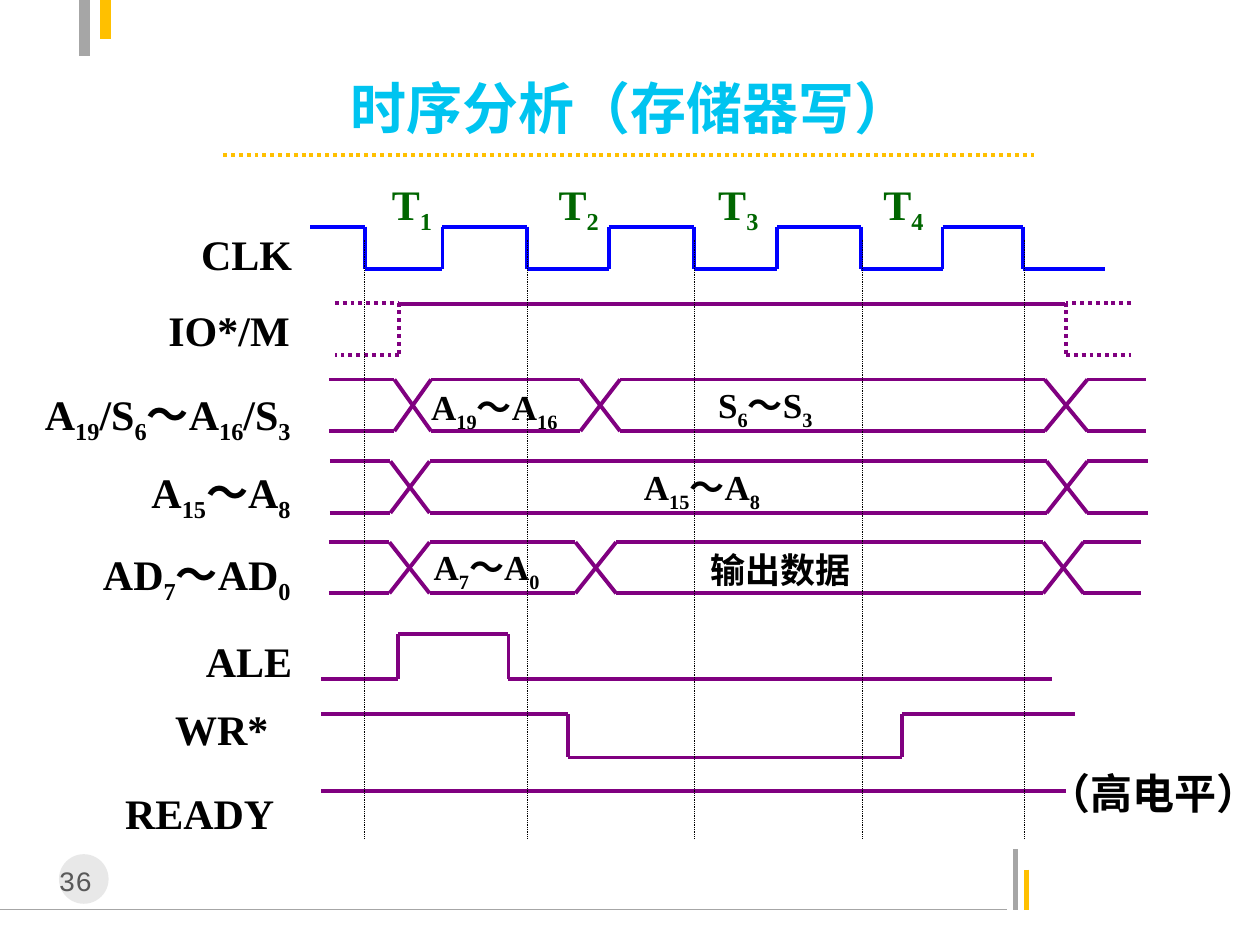
from dataclasses import dataclass
from itertools import pairwise

from lxml.etree import SubElement
from pptx import Presentation
from pptx.dml.color import RGBColor
from pptx.enum.dml import MSO_LINE
from pptx.enum.shapes import MSO_CONNECTOR, MSO_SHAPE
from pptx.enum.text import MSO_ANCHOR, MSO_AUTO_SIZE, PP_ALIGN
from pptx.oxml.ns import qn
from pptx.util import Cm, Pt

Point = tuple[float, float]
DOT = MSO_LINE.ROUND_DOT


@dataclass(frozen=True)
class Theme:
    clock: str = "0000FF"
    wave: str = "800080"
    state: str = "006600"
    ink: str = "000000"
    title: str = "00C4F0"
    gold: str = "FFC000"
    gray: str = "A6A6A6"
    disc: str = "BFBFBF"
    page: str = "595959"
    serif: str = "Times New Roman"
    mono: str = "Courier New"
    han: str = "Noto Sans CJK SC"
    head: float = 32
    name: float = 24
    value: float = 20
    small: float = 16
    thick: float = 2.25


THEME = Theme()


@dataclass(frozen=True)
class Label:
    """Text whose odd parts, split at bars, are subscripts."""
    text: str
    left: float
    top: float
    width: float
    height: float = 1.2
    align: PP_ALIGN = PP_ALIGN.LEFT
    size: float = THEME.name
    color: str = THEME.ink
    font: str = THEME.serif
    bold: bool = True


@dataclass(frozen=True)
class Pulse:
    """A signal that swaps between two levels at each edge."""
    start: float
    edges: tuple[float, ...]
    end: float
    first: float
    other: float
    color: str = THEME.wave


@dataclass(frozen=True)
class Bus:
    top: float
    base: float
    start: float
    swaps: tuple[Point, ...]
    end: float


PULSES = (
    Pulse(6.25, (7.35, 8.92, 10.63, 12.27, 13.99, 15.67, 17.35, 19, 20.63),
          22.28, 4.57, 5.43, THEME.clock),
    Pulse(6.48, (8.03, 10.25), 21.2, 13.69, 12.78),
    Pulse(6.48, (11.45, 18.18), 21.67, 14.4, 15.27),
    Pulse(6.48, (), 21.49, 15.95, 15.95),
    Pulse(8.05, (), 21.46, 6.12, 6.12),
)
BUSES = (
    Bus(7.65, 8.69, 6.63, ((7.95, 8.69), (11.7, 12.5), (21.06, 21.92)), 23.11),
    Bus(9.3, 10.34, 6.65, ((7.87, 8.66), (21.1, 21.92)), 23.15),
    Bus(10.93, 11.96, 6.63, ((7.85, 8.66), (11.6, 12.42), (21.03, 21.84)), 23),
)
GUIDES = (7.35, 10.63, 13.99, 17.38, 20.66)
STATES = (7.87, 11.23, 14.45, 17.78)
# text, right edge, top, width
NAMES = (
    ("CLK", 5.92, 4.57, 3.05),
    ("IO*/M", 5.87, 6.1, 4.24),
    ("A|19|/S|6|～A|16|/S|3", 5.89, 7.8, 5.89),
    ("A|15|～A|8", 5.89, 9.37, 5.44),
    ("AD|7|～AD|0", 5.89, 11.02, 5.44),
    ("ALE", 5.92, 12.78, 3.05),
    ("WR*", 5.44, 14.15, 3.05),
    ("READY", 5.56, 15.85, 4.57),
)
VALUES = (
    ("A|19|～A|16", 8.66, 7.75, 3.2),
    ("S|6|～S|3", 14.45, 7.7, 4.39),
    ("A|15|～A|8", 12.95, 9.35, 3.86),
    ("A|7|～A|0", 8.71, 10.97, 2.84),
    ("输出数据", 14.3, 11.02, 4.75),
)


def paint(run, size: float, color: str, face: str, bold: bool) -> None:
    font = run.font
    font.size, font.bold, font.name = Pt(size), bold, face
    font.color.rgb = RGBColor.from_string(color)
    SubElement(run._r.get_or_add_rPr(), qn("a:ea"), typeface=THEME.han)


def write(slide, label: Label) -> None:
    box = slide.shapes.add_textbox(Cm(label.left), Cm(label.top),
                                   Cm(label.width), Cm(label.height))
    frame = box.text_frame
    frame.word_wrap = True
    frame.margin_left = frame.margin_right = Cm(0.03)
    frame.margin_top = frame.margin_bottom = Cm(0.03)
    para = frame.paragraphs[0]
    para.alignment = label.align
    for index, part in enumerate(label.text.split("|")):
        run = para.add_run()
        run.text = part
        paint(run, label.size, label.color, label.font, label.bold)
        if index % 2:
            run._r.get_or_add_rPr().set("baseline", "-25000")


def trace(slide, *points: Point, color: str = THEME.wave,
          weight: float = THEME.thick, dash: MSO_LINE | None = None) -> None:
    """Join successive points with straight lines."""
    for (x1, y1), (x2, y2) in pairwise(points):
        line = slide.shapes.add_connector(
            MSO_CONNECTOR.STRAIGHT, Cm(x1), Cm(y1), Cm(x2), Cm(y2))
        line.line.color.rgb = RGBColor.from_string(color)
        line.line.width = Pt(weight)
        if dash:
            line.line.dash_style = dash
        SubElement(line._element.spPr, qn("a:effectLst"))


def draw_pulse(slide, pulse: Pulse) -> None:
    level, other = pulse.first, pulse.other
    points = [(pulse.start, level)]
    for edge in pulse.edges:
        points += [(edge, level), (edge, other)]
        level, other = other, level
    trace(slide, *points, (pulse.end, level), color=pulse.color)


def draw_bus(slide, bus: Bus) -> None:
    left = bus.start
    for x1, x2 in (*bus.swaps, (bus.end, bus.end)):
        for y in (bus.top, bus.base):
            trace(slide, (left, y), (x1, y))
        if x2 > x1:
            trace(slide, (x1, bus.top), (x2, bus.base))
            trace(slide, (x1, bus.base), (x2, bus.top))
        left = x2


def draw_frame(slide) -> None:
    """Draw the corner bars, the foot rule and the page number."""
    trace(slide, (0, 18.34), (20.29, 18.34), color=THEME.gray, weight=0.75)
    for x, y1, y2, color, weight in (
            (20.47, 17.12, 18.34, THEME.gray, 3),
            (20.7, 17.53, 18.34, THEME.gold, 3),
            (1.7, 0, 1.12, THEME.gray, 6),
            (2.13, 0, 0.79, THEME.gold, 6)):
        trace(slide, (x, y1), (x, y2), color=color, weight=weight)
    disc = slide.shapes.add_shape(MSO_SHAPE.OVAL, Cm(1.19), Cm(17.22), Cm(1), Cm(1))
    disc.shadow.inherit = False
    disc.line.fill.background()
    disc.fill.solid()
    disc.fill.fore_color.rgb = RGBColor.from_string(THEME.disc)
    tint = disc._element.spPr.find(qn("a:solidFill"))[0]
    SubElement(tint, qn("a:alpha"), val="35000")
    write(slide, Label("36", 0.62, 17.37, 1.8, 0.7, PP_ALIGN.CENTER,
                       THEME.small, THEME.page, THEME.mono, False))


def draw_title(slide) -> None:
    title = slide.shapes.title
    title.left, title.top = Cm(3.5), Cm(1.52)
    title.width, title.height = Cm(18.42), Cm(1.27)
    frame = title.text_frame
    frame.text = "时序分析（存储器写）"
    frame.word_wrap = False
    frame.auto_size = MSO_AUTO_SIZE.NONE
    frame.vertical_anchor = MSO_ANCHOR.MIDDLE
    para = frame.paragraphs[0]
    para.alignment = PP_ALIGN.CENTER
    paint(para.runs[0], THEME.head, THEME.title, THEME.han, True)
    trace(slide, (4.5, 3.12), (20.9, 3.12), color=THEME.gold, dash=DOT)


def main() -> None:
    deck = Presentation()
    deck.slide_width, deck.slide_height = Cm(25.4), Cm(19.05)
    slide = deck.slides.add_slide(deck.slide_layouts[5])
    draw_frame(slide)
    draw_title(slide)
    for pulse in PULSES:
        draw_pulse(slide, pulse)
    for bus in BUSES:
        draw_bus(slide, bus)
    for edge, tail in ((8.05, 6.75), (21.49, 22.8)):
        trace(slide, (tail, 6.1), (edge, 6.1), (edge, 7.15), (tail, 7.15), dash=DOT)
    for number, left in enumerate(STATES, 1):
        write(slide, Label(f"T|{number}", left, 3.56, 2.41, color=THEME.state))
    for text, right, top, width in NAMES:
        write(slide, Label(text, right - width, top, width, align=PP_ALIGN.RIGHT))
    for text, left, top, width in VALUES:
        write(slide, Label(text, left, top, width, 0.9, size=THEME.value))
    write(slide, Label("（高电平）", 21.11, 15.44, 4.57))
    for x in GUIDES:
        trace(slide, (x, 4.83), (x, 16.89), color=THEME.ink, weight=0.5, dash=DOT)
    deck.save("out.pptx")


if __name__ == "__main__":
    main()
